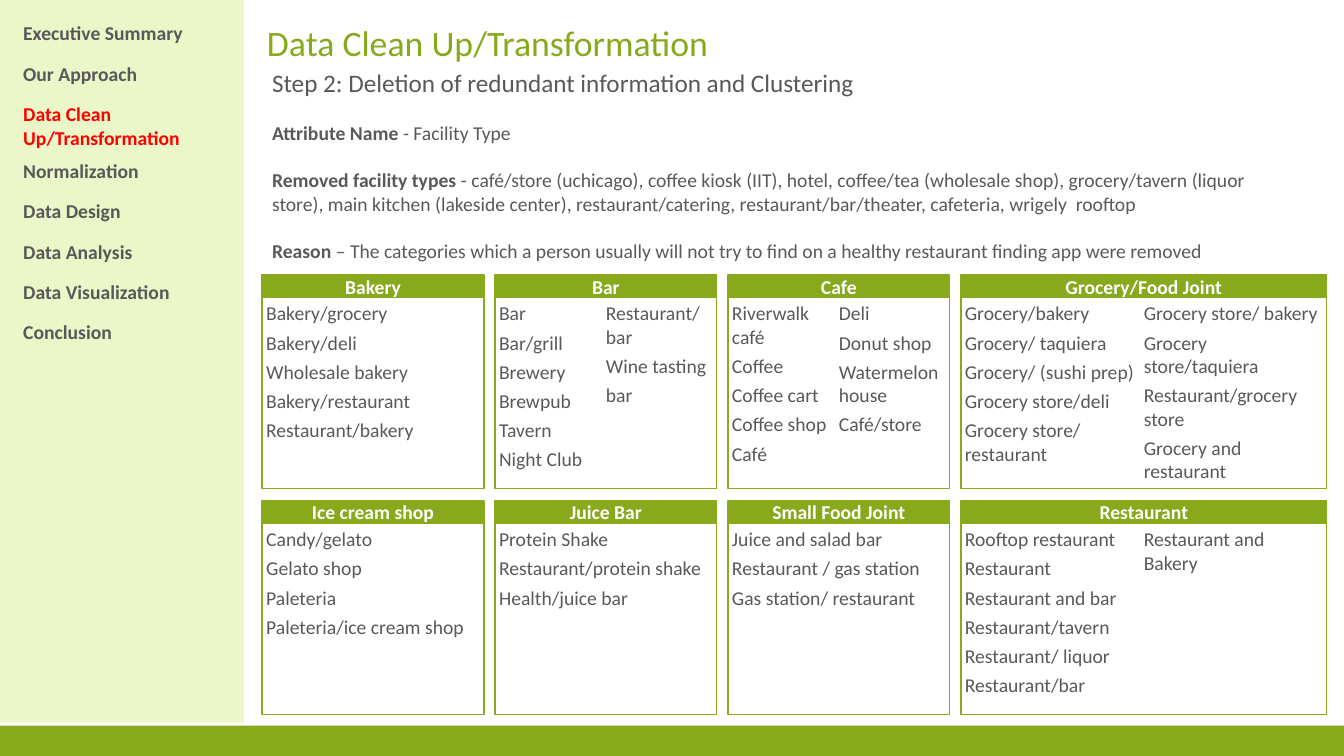
from pptx import Presentation, util as u
from pptx.dml.color import RGBColor
from pptx.enum import shapes, text

HUES = {"green": "87A91B", "pale": "EBF6C9", "gray": "595959", "white": "FFFFFF", "red": "FF0000"}
PLAIN = "{2D5ABB26-0587-4C30-8999-92F81FD0307C}"


def px(n):
    return u.Emu(n * 9144)


class Deck:
    def __init__(self, wide, high):
        self.show = Presentation()
        self.show.slide_width, self.show.slide_height = px(wide), px(high)
        self.slide = self.show.slides.add_slide(self.show.slide_layouts[6])
        self.font = {"name": "Calibri", "size": u.Pt(14), "bold": False}

    def hue(self, name):
        return RGBColor.from_string(HUES[name])

    def put(self, item, values):
        for key, value in values.items():
            setattr(item, key, value)

    def label(self, frame, lines, hue="gray", gap=0, form=None, **font):
        self.put(frame, {"word_wrap": True})
        for i, line in enumerate(lines):
            para = frame.paragraphs[0] if i == 0 else frame.add_paragraph()
            self.put(para, form or {})
            if i and gap:
                para.space_before = u.Pt(gap)
            parts = line if isinstance(line, tuple) else (line,)
            for j, part in enumerate(parts):
                run = para.add_run()
                run.text = part
                self.put(run.font, {**self.font, **font})
                if len(parts) > 1:
                    run.font.bold = j == 0
                run.font.color.rgb = self.hue(hue)

    def rect(self, area, fill=None, line=None, home=None):
        home = home or self.slide.shapes
        box = home.add_shape(shapes.MSO_SHAPE.RECTANGLE, *map(px, area))
        box.shadow.inherit = False
        if fill:
            box.fill.solid()
            box.fill.fore_color.rgb = self.hue(fill)
        else:
            box.fill.background()
        if line:
            box.line.color.rgb = self.hue(line)
            box.line.width = u.Pt(1)
        else:
            box.line.fill.background()
        return box

    def note(self, area, lines, anchor=text.MSO_ANCHOR.TOP, **style):
        frame = self.slide.shapes.add_textbox(*map(px, area)).text_frame
        frame.vertical_anchor = anchor
        self.label(frame, lines, **style)

    def card(self, left, top, wide, title, items, cols):
        home = self.slide.shapes.add_group_shape().shapes
        head = self.rect((left, top, wide, 22), "green", "green", home).text_frame
        body = self.rect((left, top + 22, wide, 190), None, "green", home).text_frame
        for frame in (head, body):
            self.put(frame, {f"margin_{side}": px(4) for side in ("left", "top", "right", "bottom")})
        head.vertical_anchor = text.MSO_ANCHOR.MIDDLE
        body.vertical_anchor = text.MSO_ANCHOR.TOP
        self.label(head, [title], "white", form={"alignment": text.PP_ALIGN.CENTER}, bold=True)
        self.label(body, items, gap=4, form={"alignment": text.PP_ALIGN.LEFT})
        if cols > 1:
            props = body._txBody.bodyPr
            props.set("numCol", str(cols))
            props.set("spcCol", "0")

    def menu(self, left, top, wide, step, names, now):
        frame = self.slide.shapes.add_table(
            len(names), 1, px(left), px(top), px(wide), px(step * len(names)))
        table = frame.table
        self.put(table, {"first_row": False, "horz_banding": False})
        table._tbl.tblPr[0].text = PLAIN
        for row, name in enumerate(names):
            cell = table.cell(row, 0)
            cell.fill.background()
            self.label(cell.text_frame, [name], "red" if name == now else "gray", bold=True)


TOPICS = [
    "Executive Summary", "Our Approach", "Data Clean Up/Transformation", "Normalization",
    "Data Design", "Data Analysis", "Data Visualization", "Conclusion",
]
FACTS = [
    ("Attribute Name ", "- Facility Type"),
    ("Removed facility types ",
     "- café/store (uchicago), coffee kiosk (IIT), hotel, coffee/tea (wholesale shop), "
     "grocery/tavern (liquor store), main kitchen (lakeside center), restaurant/catering, "
     "restaurant/bar/theater, cafeteria, wrigely  rooftop"),
    ("Reason ",
     "– The categories which a person usually will not try to find on a healthy restaurant "
     "finding app were removed"),
]
GROUPS = [
    ("Bakery", 1, ["Bakery/grocery", "Bakery/deli", "Wholesale bakery", "Bakery/restaurant",
                   "Restaurant/bakery"]),
    ("Bar", 2, ["Bar", "Bar/grill", "Brewery", "Brewpub", "Tavern", "Night Club",
                "Restaurant/ bar", "Wine tasting", "bar"]),
    ("Cafe", 2, ["Riverwalk café", "Coffee", "Coffee cart", "Coffee shop", "Café", "Deli",
                 "Donut shop", "Watermelon house", "Café/store"]),
    ("Grocery/Food Joint", 2, ["Grocery/bakery", "Grocery/ taquiera", "Grocery/ (sushi prep)",
                               "Grocery store/deli", "Grocery store/ restaurant",
                               "Grocery store/ bakery", "Grocery store/taquiera",
                               "Restaurant/grocery store", "Grocery and restaurant"]),
    ("Ice cream shop", 1, ["Candy/gelato", "Gelato shop", "Paleteria", "Paleteria/ice cream shop"]),
    ("Juice Bar", 1, ["Protein Shake", "Restaurant/protein shake", "Health/juice bar"]),
    ("Small Food Joint", 1, ["Juice and salad bar", "Restaurant / gas station",
                             "Gas station/ restaurant"]),
    ("Restaurant", 2, ["Rooftop restaurant", "Restaurant", "Restaurant and bar",
                       "Restaurant/tavern", "Restaurant/ liquor", "Restaurant/bar",
                       "Restaurant and Bakery"]),
]


def main():
    deck = Deck(1333, 750)
    deck.rect((0, 720, 1333, 30), "green")
    deck.rect((0, 0, 242, 717), "pale")
    deck.note((255, 17, 1064, 52), ["Data Clean Up/Transformation"], text.MSO_ANCHOR.BOTTOM,
              hue="green", form={"line_spacing": 0.9}, size=u.Pt(25.5))
    deck.note((260, 62, 1064, 40), ["Step 2: Deletion of redundant information and Clustering"],
              size=u.Pt(18))
    deck.note((260, 115, 1030, 151), FACTS, gap=17)
    for i, (title, cols, items) in enumerate(GROUPS):
        row, col = divmod(i, 4)
        deck.card(260 + 231 * col, 273 + 224 * row, 363 if col == 3 else 220, title, items, cols)
    deck.menu(13, 17, 219, 40, TOPICS, "Data Clean Up/Transformation")
    deck.show.save("out.pptx")


if __name__ == "__main__":
    main()
